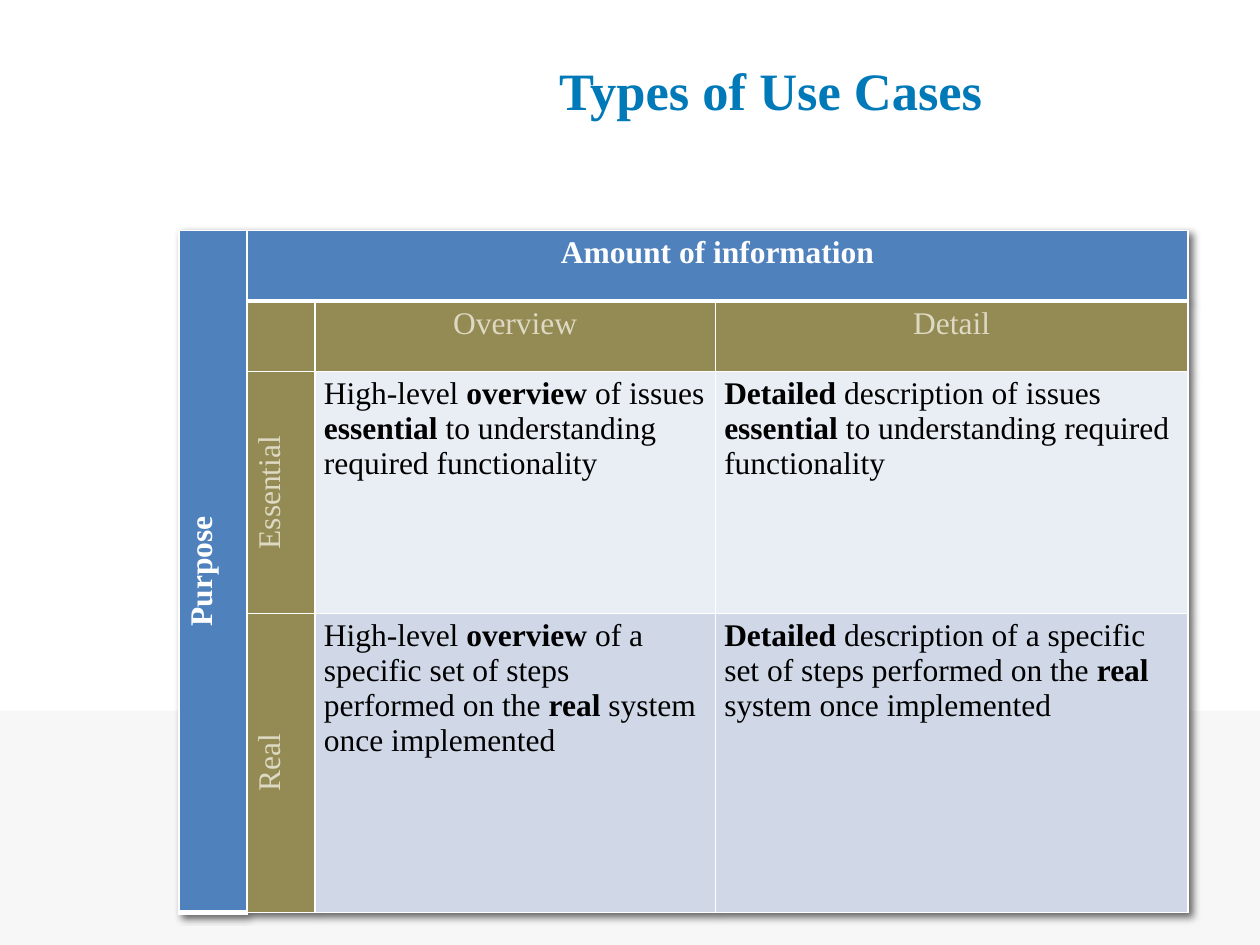
from dataclasses import dataclass

from lxml.etree import SubElement
from pptx import Presentation
from pptx.dml.color import RGBColor
from pptx.enum.shapes import MSO_SHAPE
from pptx.enum.text import MSO_ANCHOR, PP_ALIGN
from pptx.oxml import parse_xml
from pptx.oxml.ns import nsdecls, qn
from pptx.util import Cm, Pt

FONT = "Times New Roman"
WHITE, BLACK = "FFFFFF", "000000"
BLUE, OLIVE, SAND = "4F81BD", "948A54", "DDD9C3"
LIGHT_BAND, DARK_BAND = "E9EDF4", "D0D8E8"
COLUMN_WIDTHS = (1.37, 1.37, 8.07, 9.53)
ROW_HEIGHTS = (1.42, 1.42, 4.88, 6.02)


@dataclass(frozen=True)
class CellStyle:
    fill: str
    color: str
    bold: bool = False
    centered: bool = True
    vertical: bool = False
    bottom_line: float = 1


@dataclass(frozen=True)
class Entry:
    row: int
    column: int
    phrases: tuple[str, ...]  # a leading * marks a bold run
    style: CellStyle
    row_span: int = 1
    column_span: int = 1


HEADING = CellStyle(BLUE, WHITE, bold=True, bottom_line=3)
SIDE_HEADING = CellStyle(BLUE, WHITE, bold=True, vertical=True, bottom_line=3)
LABEL = CellStyle(OLIVE, SAND)
SIDE_LABEL = CellStyle(OLIVE, SAND, vertical=True)
ESSENTIAL = CellStyle(LIGHT_BAND, BLACK, centered=False)
REAL = CellStyle(DARK_BAND, BLACK, centered=False)

ENTRIES = (
    Entry(0, 0, ("Purpose",), SIDE_HEADING, row_span=4),
    Entry(0, 1, ("Amount of information",), HEADING, column_span=3),
    Entry(1, 1, (), LABEL),
    Entry(1, 2, ("Overview",), LABEL),
    Entry(1, 3, ("Detail",), LABEL),
    Entry(2, 1, ("Essential",), SIDE_LABEL),
    Entry(2, 2, ("High-level ", "*overview", " of issues ", "*essential",
                 " to understanding required functionality"), ESSENTIAL),
    Entry(2, 3, ("*Detailed", " description of issues ", "*essential",
                 " to understanding required functionality"), ESSENTIAL),
    Entry(3, 1, ("Real",), SIDE_LABEL),
    Entry(3, 2, ("High-level ", "*overview ",
                 "of a specific set of steps performed on the ", "*real",
                 " system once implemented"), REAL),
    Entry(3, 3, ("*Detailed",
                 " description of a specific set of steps performed on the ",
                 "*real", " system once implemented"), REAL),
)


def rgb(color: str) -> RGBColor:
    return RGBColor.from_string(color)


def add_run(paragraph, text: str, size: float, color: str, bold: bool) -> None:
    run = paragraph.add_run()
    run.text = text
    font = run.font
    font.name, font.size, font.bold = FONT, Pt(size), bold
    font.color.rgb = rgb(color)


def set_borders(cell, bottom_line: float) -> None:
    properties = cell._tc.get_or_add_tcPr()
    widths = {"a:lnL": 1, "a:lnR": 1, "a:lnT": 1, "a:lnB": bottom_line}
    for position, (tag, width) in enumerate(widths.items()):
        line = SubElement(properties, qn(tag), w=str(Pt(width)))
        fill = SubElement(line, qn("a:solidFill"))
        SubElement(fill, qn("a:srgbClr"), val=WHITE)
        properties.insert(position, line)


def style_cell(cell, style: CellStyle) -> None:
    cell.fill.solid()
    cell.fill.fore_color.rgb = rgb(style.fill)
    cell.margin_left = cell.margin_right = Cm(0.18)
    cell.margin_top = cell.margin_bottom = Cm(0.1)
    set_borders(cell, style.bottom_line)
    if style.vertical:
        cell._tc.get_or_add_tcPr().set("vert", "vert270")


def fill_entry(table, entry: Entry) -> None:
    last_row = entry.row + entry.row_span - 1
    last_column = entry.column + entry.column_span - 1
    cell = table.cell(entry.row, entry.column)
    if (last_row, last_column) != (entry.row, entry.column):
        cell.merge(table.cell(last_row, last_column))
    for row in range(entry.row, last_row + 1):
        for column in range(entry.column, last_column + 1):
            style_cell(table.cell(row, column), entry.style)
    paragraph = cell.text_frame.paragraphs[0]
    paragraph.alignment = PP_ALIGN.CENTER if entry.style.centered else PP_ALIGN.LEFT
    for phrase in entry.phrases:
        bold = entry.style.bold or phrase.startswith("*")
        add_run(paragraph, phrase.removeprefix("*"), 18, entry.style.color, bold)


def add_table_shadow(table) -> None:
    table._tbl.tblPr.insert(0, parse_xml(
        f'<a:effectLst {nsdecls("a")}>'
        '<a:outerShdw blurRad="50800" dist="38100" dir="2700000">'
        '<a:srgbClr val="000000"><a:alpha val="60000"/></a:srgbClr>'
        '</a:outerShdw></a:effectLst>'))


def add_title(slide) -> None:
    title = slide.shapes.title
    title.left, title.top, title.width, title.height = (
        Cm(7.16), Cm(0.64), Cm(16.76), Cm(2.31))
    title.text_frame.vertical_anchor = MSO_ANCHOR.MIDDLE
    paragraph = title.text_frame.paragraphs[0]
    paragraph.alignment = PP_ALIGN.CENTER
    add_run(paragraph, "Types of Use Cases", 30, "0079B8", True)


def add_floor_band(slide) -> None:
    band = slide.shapes.add_shape(
        MSO_SHAPE.RECTANGLE, Cm(0), Cm(14.33), Cm(25.4), Cm(4.72))
    band.shadow.inherit = False
    band.fill.solid()
    band.fill.fore_color.rgb = rgb("F7F7F7")
    band.line.fill.background()


def add_use_case_table(slide) -> None:
    table = slide.shapes.add_table(
        len(ROW_HEIGHTS), len(COLUMN_WIDTHS), Cm(3.61), Cm(4.65),
        Cm(sum(COLUMN_WIDTHS)), Cm(sum(ROW_HEIGHTS))).table
    for column, width in zip(table.columns, COLUMN_WIDTHS):
        column.width = Cm(width)
    for row, height in zip(table.rows, ROW_HEIGHTS):
        row.height = Cm(height)
    for entry in ENTRIES:
        fill_entry(table, entry)
    add_table_shadow(table)


def main() -> None:
    presentation = Presentation()
    presentation.slide_width, presentation.slide_height = Cm(25.4), Cm(19.05)
    slide = presentation.slides.add_slide(presentation.slide_layouts[5])
    add_floor_band(slide)
    add_title(slide)
    add_use_case_table(slide)
    presentation.save("out.pptx")


if __name__ == "__main__":
    main()
